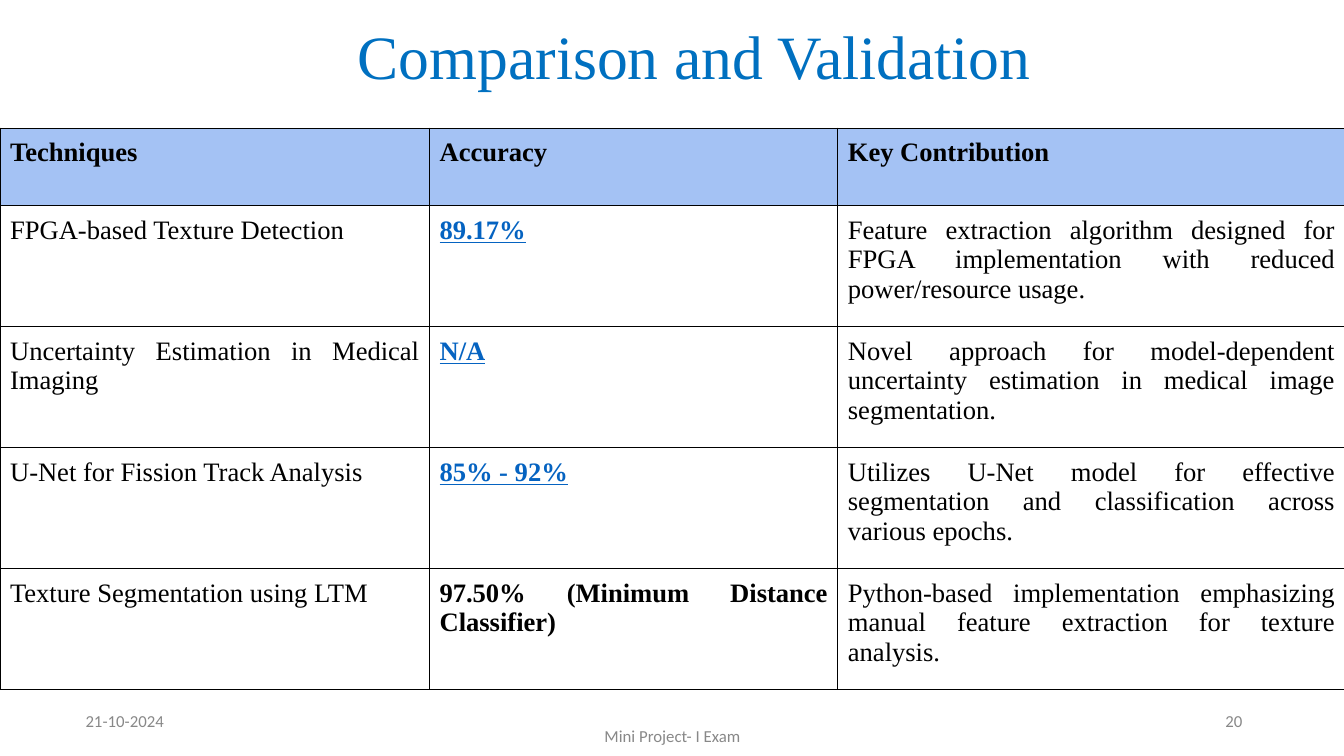
from lxml.etree import SubElement
from pptx import Presentation
from pptx.dml.color import RGBColor
from pptx.enum.text import MSO_ANCHOR, PP_ALIGN
from pptx.oxml.ns import qn
from pptx.util import Inches, Pt

BLACK = RGBColor(0x00, 0x00, 0x00)
TITLE_BLUE = RGBColor(0x00, 0x70, 0xC0)
LINK_BLUE = RGBColor(0x05, 0x63, 0xC1)
HEADER_BLUE = RGBColor(0xA4, 0xC2, 0xF4)
FOOTER_GREY = RGBColor(0x88, 0x88, 0x88)
SERIF = "Times New Roman"
SANS = "Calibri"

HEADINGS = ("Techniques", "Accuracy", "Key Contribution")
TECHNIQUES = [
    ("FPGA-based Texture Detection", "89.17%",
     "Feature extraction algorithm designed for FPGA implementation "
     "with reduced power/resource usage."),
    ("Uncertainty Estimation in Medical Imaging", "N/A",
     "Novel approach for model-dependent uncertainty estimation "
     "in medical image segmentation."),
    ("U-Net for Fission Track Analysis", "85% - 92%",
     "Utilizes U-Net model for effective segmentation and classification "
     "across various epochs."),
    ("Texture Segmentation using LTM", "97.50% (Minimum Distance Classifier)",
     "Python-based implementation emphasizing manual feature extraction "
     "for texture analysis."),
]
COLUMN_WIDTHS = (4.26, 4.05, 5.03)
HEADER_HEIGHT = 0.77
ROW_HEIGHT = 1.2
ACCURACY_COLUMN = 1


def write(paragraph, text, align, color, **formats):
    paragraph.alignment = align
    font = paragraph.add_run().font
    paragraph.runs[0].text = text
    font.color.rgb = color
    for name, value in formats.items():
        setattr(font, name, value)


def add_label(slide, text, place, color, font, size, align=PP_ALIGN.LEFT,
              anchor=MSO_ANCHOR.MIDDLE, inset=0.05):
    """Add a one-line text box; inset is the top and bottom margin in inches."""
    frame = slide.shapes.add_textbox(*map(Inches, place)).text_frame
    frame.word_wrap = True
    frame.vertical_anchor = anchor
    frame.margin_top = frame.margin_bottom = Inches(inset)
    write(frame.paragraphs[0], text, align, color, name=font, size=Pt(size))


def border_cell(cell):
    properties = cell._tc.get_or_add_tcPr()
    for position, side in enumerate(("a:lnL", "a:lnR", "a:lnT", "a:lnB")):
        line = SubElement(properties, qn(side), w=str(Pt(0.75)))
        fill = SubElement(line, qn("a:solidFill"))
        SubElement(fill, qn("a:srgbClr"), val=str(BLACK))
        properties.insert(position, line)


def fill_cell(cell, text, is_header, is_accuracy):
    is_link = is_accuracy and not is_header and "Classifier" not in text
    for side in ("left", "right", "top", "bottom"):
        setattr(cell, f"margin_{side}", Inches(0.1))
    if is_header:
        cell.fill.solid()
        cell.fill.fore_color.rgb = HEADER_BLUE
    else:
        cell.fill.background()
    border_cell(cell)
    write(cell.text_frame.paragraphs[0], text, PP_ALIGN.JUSTIFY,
          LINK_BLUE if is_link else BLACK, name=SERIF, size=Pt(19),
          bold=is_header or is_accuracy, underline=is_link)


def add_comparison(slide):
    rows = [HEADINGS, *TECHNIQUES]
    heights = [HEADER_HEIGHT] + [ROW_HEIGHT] * len(TECHNIQUES)
    table = slide.shapes.add_table(
        len(rows), len(HEADINGS), Inches(0), Inches(1.27),
        Inches(sum(COLUMN_WIDTHS)), Inches(sum(heights))).table
    table.horz_banding = False
    for column, width in zip(table.columns, COLUMN_WIDTHS):
        column.width = Inches(width)
    for r, (texts, height) in enumerate(zip(rows, heights)):
        table.rows[r].height = Inches(height)
        for c, text in enumerate(texts):
            fill_cell(table.cell(r, c), text, r == 0, c == ACCURACY_COLUMN)


def main():
    presentation = Presentation()
    presentation.slide_width = Inches(13.33)
    presentation.slide_height = Inches(7.5)
    slide = presentation.slides.add_slide(presentation.slide_layouts[6])

    add_label(slide, "Comparison and Validation", (3.45, -0.18, 6.96, 1.45),
              TITLE_BLUE, SERIF, 44)
    add_comparison(slide)
    add_label(slide, "21-10-2024", (0.75, 6.95, 3, 0.4), FOOTER_GREY, SANS, 12)
    add_label(slide, "Mini Project- I Exam", (5.03, 7.1, 3.28, 0.4),
              FOOTER_GREY, SANS, 12, PP_ALIGN.CENTER, MSO_ANCHOR.TOP, 0.1)
    add_label(slide, "20", (9.42, 6.95, 3, 0.4), FOOTER_GREY, SANS, 12,
              PP_ALIGN.RIGHT)
    presentation.save("out.pptx")


if __name__ == "__main__":
    main()
